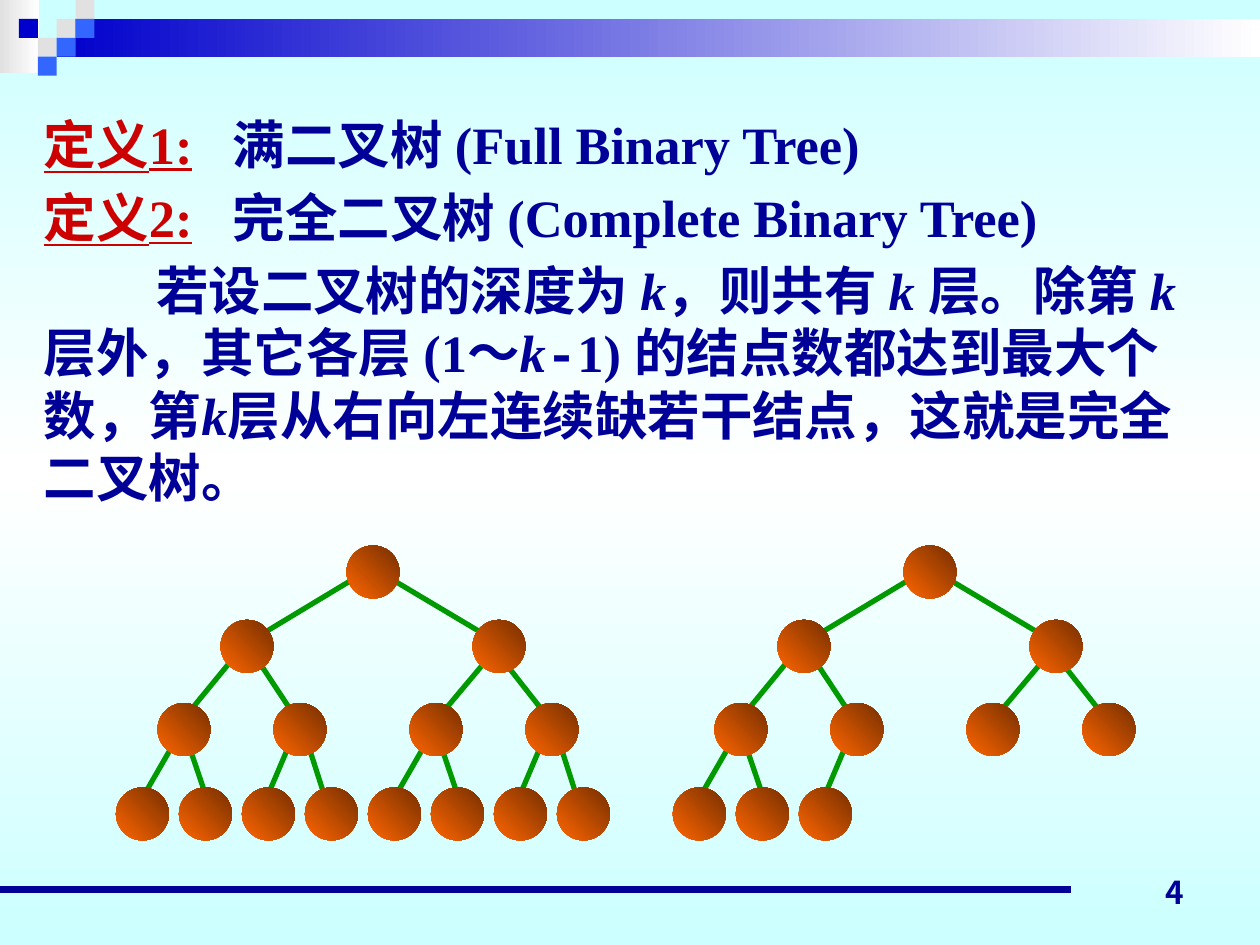
import copy
import pptx
import pptx.dml.color
import pptx.enum.shapes
import pptx.enum.text
import pptx.oxml.xmlchemy
import pptx.util

Inches = pptx.util.Inches
Pt = pptx.util.Pt
RGB = pptx.dml.color.RGBColor
NAVY = RGB(0x00, 0x00, 0x99)
BLUE = RGB(0x00, 0x00, 0xCC)
SKY = RGB(0x33, 0x66, 0xFF)
GREY = RGB(0xE1, 0xE1, 0xE1)
WHITE = RGB(0xFF, 0xFF, 0xFF)
CYAN = RGB(0xCC, 0xFF, 0xFF)
RED = RGB(0xCC, 0x00, 0x00)
GREEN = RGB(0x00, 0x99, 0x00)
ORANGE = RGB(0xFF, 0x66, 0x00)
BROWN = RGB(0x76, 0x2F, 0x00)
SERIF = "Times New Roman"
CJK = "Noto Sans CJK SC"
RECT = pptx.enum.shapes.MSO_SHAPE.RECTANGLE
OVAL = pptx.enum.shapes.MSO_SHAPE.OVAL


class SlideWriter:
    """Draws styled elements on the current slide."""

    def __init__(self, slide):
        self.slide = slide

    def add_xml(self, parent, tag, **attributes):
        child = pptx.oxml.xmlchemy.OxmlElement(tag)
        for name, value in attributes.items():
            child.set(name, str(value))
        parent.append(child)
        return child

    def gradient(self, fill, colors, angle):
        for stop, color in zip(fill.gradient_stops, colors):
            stop.color.rgb = color
        fill.gradient_angle = angle

    def background(self, edge, middle):
        fill = self.slide.background.fill
        fill.gradient()
        stops = self.slide._element.xpath(".//a:gsLst")[0]
        stops.append(copy.deepcopy(stops[-1]))
        fill.gradient_stops[1].position = 0.5
        self.gradient(fill, (edge, middle, edge), 270)

    def shape(self, kind, box, *colors, angle=0):
        shape = self.slide.shapes.add_shape(kind, *map(Inches, box))
        shape.shadow.inherit = False
        shape.line.fill.background()
        if len(colors) == 1:
            shape.fill.solid()
            shape.fill.fore_color.rgb = colors[0]
        else:
            shape.fill.gradient()
            self.gradient(shape.fill, colors, angle)

    def line(self, ends, color, width):
        line = self.slide.shapes.add_connector(
            pptx.enum.shapes.MSO_CONNECTOR.STRAIGHT, *map(Inches, ends))
        line.line.color.rgb = color
        line.line.width = Pt(width)
        self.add_xml(line._element.spPr, "a:effectLst")

    def text_frame(self, box, anchor):
        frame = self.slide.shapes.add_textbox(*map(Inches, box)).text_frame
        frame.word_wrap = True
        frame.vertical_anchor = anchor
        return frame

    def run(self, paragraph, text, color=NAVY, size=30, face=SERIF,
            italic=False, underline=False):
        run = paragraph.add_run()
        run.text = text
        font = run.font
        font.size, font.name, font.bold = Pt(size), face, True
        font.italic, font.underline = italic, underline
        font.color.rgb = color
        self.add_xml(run._r.rPr, "a:ea", typeface=CJK)

    def body_paragraph(self, paragraph, indent=0, tab=None):
        paragraph.line_spacing = Pt(35.75)
        paragraph.space_before = Pt(6)
        properties = paragraph._p.get_or_add_pPr()
        properties.set("marL", "0")
        properties.set("indent", str(Inches(indent)))
        if tab:
            tabs = self.add_xml(properties, "a:tabLst")
            self.add_xml(tabs, "a:tab", pos=Inches(tab), algn="l")

    def tree(self, left, nodes, branches, count):
        for x1, y1, x2, y2 in branches[:count - 1]:
            self.line((left + x1, y1, left + x2, y2), GREEN, 3)
        for x, y in nodes[:count]:
            self.shape(OVAL, (left + x, y, 0.42, 0.42), ORANGE, BROWN, angle=45)


deck = pptx.Presentation()
deck.slide_width, deck.slide_height = Inches(10), Inches(7.5)
page = SlideWriter(deck.slides.add_slide(deck.slide_layouts[6]))
page.background(CYAN, WHITE)

page.shape(RECT, (0, 0, 0.31, 0.58), GREY, WHITE)
page.shape(RECT, (0.45, 0.15, 9.55, 0.3), BLUE, WHITE)
for column, row, color in ((3, 1, GREY), (4, 0, GREY), (4, 1, SKY), (2, 2, GREY),
                           (1, 1, BLUE), (3, 2, SKY), (2, 3, SKY)):
    page.shape(RECT, (0.15 * column, 0.15 * row, 0.15, 0.15), color)
page.line((0, 7.06, 8.5, 7.06), NAVY, 4.5)

number = page.text_frame((7.17, 6.78, 2.33, 0.5),
                         pptx.enum.text.MSO_ANCHOR.BOTTOM).paragraphs[0]
number.alignment = pptx.enum.text.PP_ALIGN.RIGHT
page.run(number, "4", size=18, face="Noto Sans CJK JP")

nodes = [(2.75, 4.33), (1.75, 4.92), (3.75, 4.92)]
nodes += [(x + half, 5.58) for half in (0, 2) for x in (1.25, 2.17)]
nodes += [(0.92 + 0.5 * leaf, 6.25) for leaf in range(8)]
branches = [(2.83, 4.58, 2, 5.08), (3.08, 4.58, 3.92, 5.08),
            (1.83, 5.25, 1.42, 5.75), (2, 5.17, 2.33, 5.67),
            (3.92, 5.17, 3.5, 5.67), (4, 5.25, 4.33, 5.67)]
branches += [(x1 + half, y1, x2 + half, y2) for half in (0, 2)
             for x1, y1, x2, y2 in ((1.42, 5.83, 1.08, 6.42), (1.5, 5.92, 1.67, 6.42),
                                    (2.33, 5.83, 2.08, 6.42), (2.42, 5.83, 2.58, 6.33))]
page.tree(0, nodes, branches, 15)
page.tree(4.42, nodes, branches, 10)

definitions = page.text_frame((0.25, 0.84, 9.42, 4.25),
                              pptx.enum.text.MSO_ANCHOR.TOP)
paragraph = definitions.paragraphs[0]
for label, meaning in (("定义1:", "满二叉树 (Full Binary Tree)"),
                       ("定义2:", "完全二叉树 (Complete Binary Tree)")):
    page.body_paragraph(paragraph, tab=1.6)
    page.run(paragraph, label, RED, underline=True)
    page.run(paragraph, "\t" + meaning)
    paragraph = definitions.add_paragraph()

page.body_paragraph(paragraph, indent=0.89)
for text, style in (
        ("若设二叉树的深度为 ", {}), ("k", {"italic": True}),
        ("，则共有 ", {}), ("k ", {"italic": True}),
        ("层。除第 ", {}), ("k ", {"italic": True}),
        ("层外，其它各层 (1", {}), ("～", {"face": CJK}),
        ("k", {"italic": True}), ("-", {"face": "Courier New"}),
        ("1) 的结点数都达到最大个数，第", {}), ("k", {"italic": True}),
        ("层从右向左连续缺若干结点，这就是完全二叉树。", {})):
    page.run(paragraph, text, **style)

deck.save("out.pptx")
